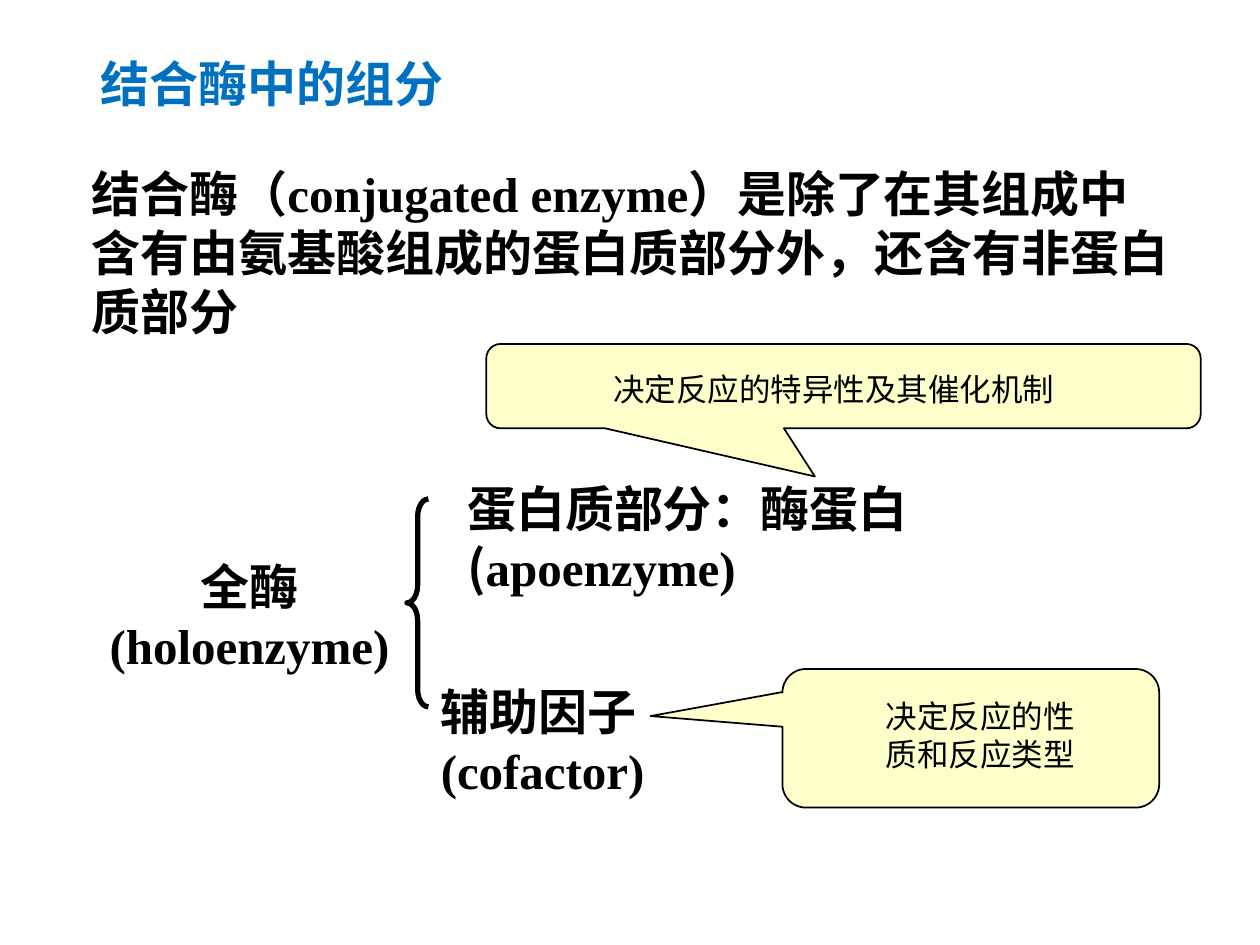
from pptx import Presentation
from pptx.dml.color import RGBColor
from pptx.enum.shapes import MSO_SHAPE
from pptx.enum.text import MSO_ANCHOR, PP_ALIGN
from pptx.oxml.ns import qn
from pptx.util import Inches, Pt

COLUMNS, ROWS = 100, 75
WIDTH, HEIGHT = Inches(10), Inches(7.5)
CHINESE, LATIN = "Noto Sans CJK SC", "Times New Roman"
HEADING = {"size": Pt(28), "bold": True}
NOTE = {"size": Pt(18), "bold": False}


def color(value):
    """Turn a hex string into a colour."""
    return RGBColor.from_string(value)


def place(left, top, width, height):
    """Turn grid columns and rows into slide lengths."""
    return (int(WIDTH * left / COLUMNS), int(HEIGHT * top / ROWS),
            int(WIDTH * width / COLUMNS), int(HEIGHT * height / ROWS))


def add_run(paragraph, text, typeface, formats, ink):
    """Add one run with its Latin and East Asian typefaces."""
    run = paragraph.add_run()
    run.text = text
    for name, value in {**formats, "name": typeface}.items():
        setattr(run.font, name, value)
    run.font.color.rgb = color(ink)
    east_asian = run.font._element.makeelement(qn("a:ea"), {"typeface": CHINESE})
    run.font._element.find(qn("a:latin")).addnext(east_asian)


def add_text(slide, grid, paragraphs, formats=HEADING, ink="000000", **frame_formats):
    """Add a text box whose paragraphs are lists of (text, typeface)."""
    alignment = frame_formats.pop("alignment", PP_ALIGN.LEFT)
    frame = slide.shapes.add_textbox(*place(*grid)).text_frame
    for name, value in {"word_wrap": True, **frame_formats}.items():
        setattr(frame, name, value)
    for index, runs in enumerate(paragraphs):
        paragraph = frame.add_paragraph() if index else frame.paragraphs[0]
        paragraph.alignment = alignment
        for text, typeface in runs:
            add_run(paragraph, text, typeface, formats, ink)


def add_outline(slide, kind, grid, adjustments, weight, fill=None):
    """Add a black-lined preset shape, filled when a colour is given."""
    shape = slide.shapes.add_shape(kind, *place(*grid))
    shape.shadow.inherit = False
    for index, value in enumerate(adjustments):
        shape.adjustments[index] = value
    shape.line.color.rgb = color("000000")
    shape.line.width = Pt(weight)
    if fill:
        shape.fill.solid()
        shape.fill.fore_color.rgb = color(fill)
    else:
        shape.fill.background()


def add_callout(slide, grid, pointer, text_grid, lines, typeface):
    """Add a yellow callout with its note on top."""
    add_outline(slide, MSO_SHAPE.ROUNDED_RECTANGULAR_CALLOUT, grid,
                (*pointer, 0.17), 1, "FFFFCC")
    add_text(slide, text_grid, [[(line, typeface)] for line in lines], NOTE,
             word_wrap=False, vertical_anchor=MSO_ANCHOR.MIDDLE)


def main():
    """Build the slide on the parts of a conjugated enzyme."""
    presentation = Presentation()
    presentation.slide_width, presentation.slide_height = WIDTH, HEIGHT
    slide = presentation.slides.add_slide(presentation.slide_layouts[6])
    add_text(slide, (7, 3.7, 83.9, 5.7), [[("结合酶中的组分", CHINESE)]],
             ink="0070C0", vertical_anchor=MSO_ANCHOR.MIDDLE)
    add_text(slide, (6.3, 12.5, 87.4, 15),
             [[("结合酶（", CHINESE), ("conjugated enzyme", LATIN),
               ("）是除了在其组成中含有由氨基酸组成的蛋白质部分外，还含有非蛋白质部分", CHINESE)]],
             vertical_anchor=MSO_ANCHOR.MIDDLE)
    add_outline(slide, MSO_SHAPE.LEFT_BRACE, (32.3, 39.6, 1.7, 16.5), (0.82, 0.5), 3)
    add_text(slide, (36.1, 37.5, 59.9, 5.7),
             [[("蛋白质部分：酶蛋白 (", CHINESE), ("apoenzyme)", LATIN)]],
             margin_right=Inches(1.5))
    add_text(slide, (34, 53.6, 28.4, 15),
             [[("辅助因子", CHINESE)], [("(cofactor)", LATIN)]])
    add_text(slide, (4.7, 43.7, 30.2, 10.4),
             [[("全酶", CHINESE)], [("(holoenzyme)", LATIN)]],
             alignment=PP_ALIGN.CENTER)
    add_callout(slide, (38.6, 27.3, 56.7, 6.7), (-0.04, 1.07),
                (47.7, 28.9, 37.5, 4), ["决定反应的特异性及其催化机制"], LATIN)
    add_callout(slide, (62.1, 53.1, 29.9, 11), (-0.85, -0.16),
                (69.3, 54.8, 17.5, 7), ["决定反应的性", "质和反应类型"], CHINESE)
    presentation.save("out.pptx")


if __name__ == "__main__":
    main()
